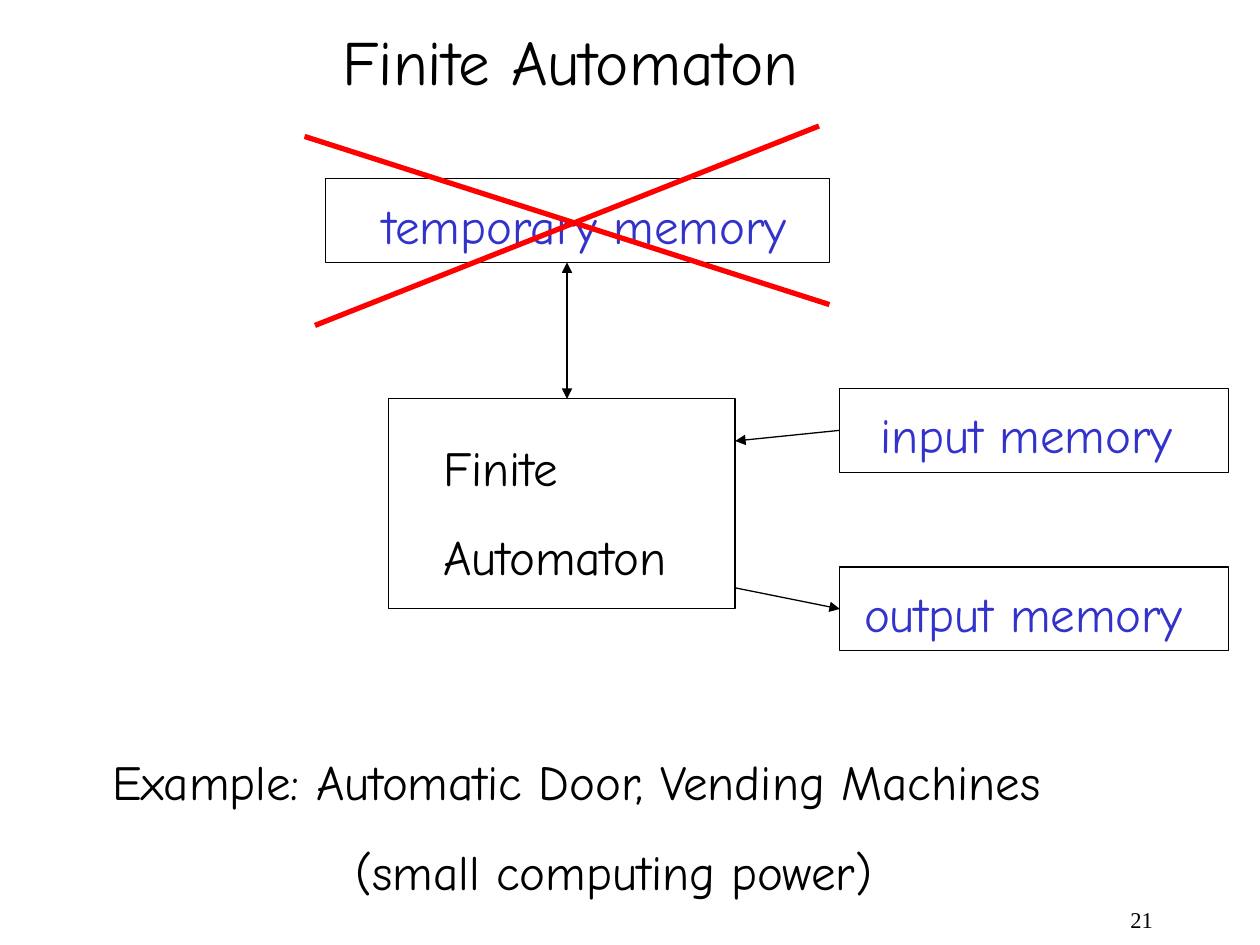
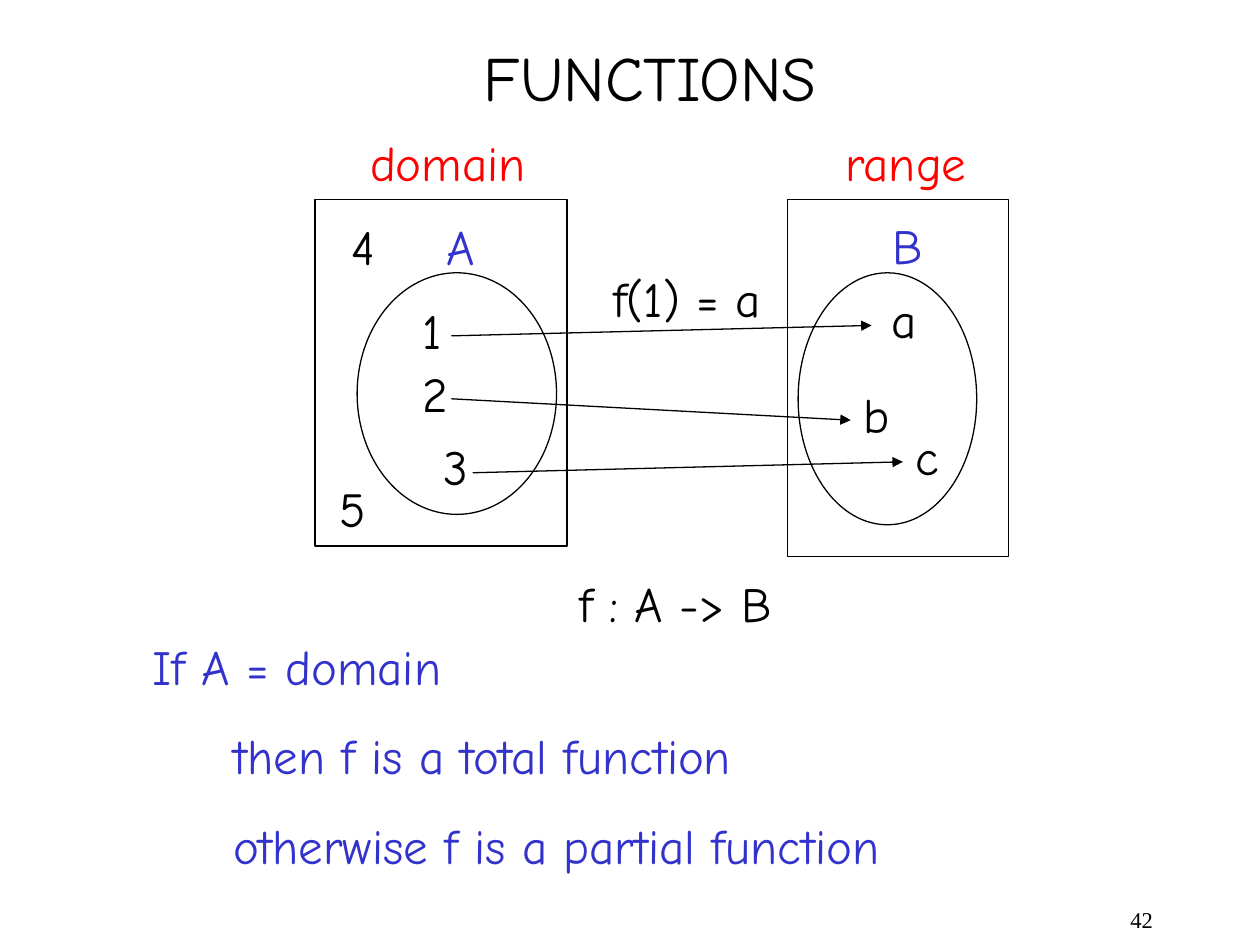
import lxml.etree
import pptx
import pptx.dml.color
import pptx.enum.shapes
import pptx.enum.text
import pptx.oxml.ns
import pptx.util
from dataclasses import dataclass

Cm, Pt = pptx.util.Cm, pptx.util.Pt
SHAPES = pptx.enum.shapes.MSO_SHAPE
ALIGN = pptx.enum.text.PP_ALIGN
qn = pptx.oxml.ns.qn


@dataclass(frozen=True)
class Theme:
    ink: str = "000000"
    blue: str = "3333CC"
    red: str = "FF0000"
    font: str = "Comic Neue"
    number_font: str = "Times New Roman"
    title_size: float = 36
    text_size: float = 28
    number_size: float = 12.9
    paragraph_gap: float = 17.5
    thin: float = 0.75
    thick: float = 3


THEME = Theme()

# All places are in centimetres: left, top, width, height.
LABEL_HEIGHT = 1.45
TITLE_HEIGHT = 1.78
WIDTH_SLACK = 0.06  # keeps a tight one-line box from breaking its text
NUMBER_PLACE = (18.21, 18.21, 5.28, 0.84)

AUTOMATON = {
    "number": "21",
    "title": ("Finite Automaton", 6.65, 0.33, 9.8),
    "body": {
        "place": (2.01, 15.03, 20.4, 3.25),
        "lines": [("Example: Automatic Door, Vending Machines", 0),
                  ("(small computing power)", 4.9)],
        "color": THEME.ink,
    },
}
# Name: frame, then left and width of its label
MEMORIES = {
    "temporary memory": ((6.56, 3.6, 10.16, 1.69), 7.47, 8.69),
    "input memory": ((16.93, 7.83, 7.83, 1.69), 17.5, 6.4),
    "output memory": ((16.93, 11.43, 7.83, 1.69), 17.17, 6.93),
}
LABEL_DROP = 0.21
MACHINE = (7.83, 8.04, 6.99, 4.23)
MACHINE_TEXT = (8.69, 8.69, 5.05, 3.25)
MACHINE_RIGHT = MACHINE[0] + MACHINE[2]
CROSS = [((6.14, 2.75), (16.72, 6.14)), ((6.35, 6.56), (16.51, 2.54))]

FUNCTIONS = {
    "number": "42",
    "title": ("FUNCTIONS", 9.5, 0.64, 7.24),
    "body": {
        "place": (2.82, 12.7, 15.52, 5.05),
        "lines": [("If A = domain", 0),
                  ("then f is a total function", 1.63),
                  ("otherwise f is a partial function", 1.63)],
        "color": THEME.blue,
    },
}
SETS = [
    (SHAPES.OVAL, (7.2, 5.5, 4.02, 4.87)),
    (SHAPES.OVAL, (16.09, 5.5, 3.6, 5.08)),
    (SHAPES.RECTANGLE, (6.35, 4.02, 5.08, 6.99)),
    (SHAPES.RECTANGLE, (15.88, 4.02, 4.45, 7.2)),
]
MAPPINGS = [
    ((9.1, 6.77), (17.57, 6.56)),
    ((9.1, 8.04), (17.15, 8.47)),
    ((9.53, 9.53), (18.2, 9.31)),
]
# Text, left, top, width
SET_LABELS = {
    THEME.red: [("domain", 7.21, 2.54, 3.66), ("range", 16.79, 2.54, 2.97)],
    THEME.blue: [("A", 8.76, 4.25, 1.07), ("B", 17.75, 4.22, 1.12)],
    THEME.ink: [
        ("1", 8.26, 5.93, 0.89), ("2", 8.26, 7.2, 1.02), ("3", 8.69, 8.67, 0.99),
        ("4", 6.83, 4.25, 0.99), ("5", 6.6, 9.53, 1.04),
        ("a", 17.73, 5.71, 1.02), ("b", 17.15, 7.62, 1.04), ("c", 18.2, 8.47, 0.97),
        ("f(1) = a", 12.11, 5.28, 3.48), ("f : A -> B", 11.43, 11.43, 4.73),
    ],
}


def rgb(color):
    return pptx.dml.color.RGBColor.from_string(color)


def lengths(place):
    return [Cm(value) for value in place]


def write(box, lines, *, color=THEME.ink, size=THEME.text_size, font=THEME.font,
          align=ALIGN.LEFT, line_spacing=1.0, wrap=False):
    """Fill a box with lines, each a string or a (string, indent in cm) pair."""
    frame = box.text_frame
    frame.word_wrap = wrap
    frame.vertical_anchor = pptx.enum.text.MSO_ANCHOR.TOP
    fit = pptx.enum.text.MSO_AUTO_SIZE
    frame.auto_size = fit.NONE if wrap else fit.SHAPE_TO_FIT_TEXT
    if not wrap:
        box.width += Cm(WIDTH_SLACK)
    for index, line in enumerate(lines):
        text, indent = (line, 0) if isinstance(line, str) else line
        para = frame.add_paragraph() if index else frame.paragraphs[0]
        para.alignment = align
        para.line_spacing = line_spacing
        para.space_before = Pt(THEME.paragraph_gap if index else 0)
        properties = para._p.get_or_add_pPr()
        properties.set("marL", str(int(Cm(indent))))
        properties.set("indent", "0")
        lxml.etree.SubElement(properties, qn("a:buNone"))
        span = para.add_run()
        span.text = text
        span.font.name = font
        span.font.size = Pt(size)
        span.font.color.rgb = rgb(color)


def add_text(slide, place, lines, **style):
    write(slide.shapes.add_textbox(*lengths(place)), lines, **style)


def fill_placeholder(holder, place, lines, **style):
    holder.left, holder.top, holder.width, holder.height = lengths(place)
    write(holder, lines, **style)


def add_outline(slide, kind, place):
    shape = slide.shapes.add_shape(kind, *lengths(place))
    shape.shadow.inherit = False
    shape.fill.background()
    shape.line.color.rgb = rgb(THEME.ink)
    shape.line.width = Pt(THEME.thin)
    return shape


def add_line(slide, start, end, *, color=THEME.ink, width=THEME.thin, arrows=()):
    """Draw a line; arrows may hold "head" (at start) and "tail" (at end)."""
    line = slide.shapes.add_connector(
        pptx.enum.shapes.MSO_CONNECTOR.STRAIGHT, *lengths(start + end))
    line.line.color.rgb = rgb(color)
    line.line.width = Pt(width)
    properties = line._element.spPr
    stroke = properties.find(qn("a:ln"))
    for arrow in arrows:
        lxml.etree.SubElement(stroke, qn(f"a:{arrow}End"), type="triangle")
    lxml.etree.SubElement(properties, qn("a:effectLst"))
    return line


def add_slide(deck, content):
    slide = deck.slides.add_slide(deck.slide_layouts[1])
    title, *place = content["title"]
    body = content["body"]
    fill_placeholder(slide.shapes.title, (*place, TITLE_HEIGHT), [title],
                     size=THEME.title_size)
    fill_placeholder(slide.placeholders[1], body["place"], body["lines"],
                     color=body["color"])
    add_text(slide, NUMBER_PLACE, [content["number"]], size=THEME.number_size,
             font=THEME.number_font, align=ALIGN.RIGHT, line_spacing=0.9, wrap=True)
    return slide


def build_automaton(deck):
    slide = add_slide(deck, AUTOMATON)
    frames = {}
    for name, (place, left, width) in MEMORIES.items():
        frames[name] = add_outline(slide, SHAPES.RECTANGLE, place)
        add_text(slide, (left, place[1] + LABEL_DROP, width, LABEL_HEIGHT), [name],
                 color=THEME.blue)
    add_outline(slide, SHAPES.RECTANGLE, MACHINE)
    add_text(slide, MACHINE_TEXT, ["Finite", "Automaton"])
    add_line(slide, (11.43, 5.29), (11.43, MACHINE[1]), arrows=("head", "tail"))
    for name, height, arrow in [("input memory", 8.89, "head"),
                                ("output memory", 11.85, "tail")]:
        start = (MACHINE_RIGHT, height)
        link = add_line(slide, start, start, arrows=[arrow])
        link.end_connect(frames[name], 1)
    for start, end in CROSS:
        add_line(slide, start, end, color=THEME.red, width=THEME.thick)


def build_functions(deck):
    slide = add_slide(deck, FUNCTIONS)
    for kind, place in SETS:
        add_outline(slide, kind, place)
    for start, end in MAPPINGS:
        add_line(slide, start, end, arrows=["tail"])
    for color, labels in SET_LABELS.items():
        for text, *place in labels:
            add_text(slide, (*place, LABEL_HEIGHT), [text], color=color)


def main():
    deck = pptx.Presentation()
    deck.slide_width, deck.slide_height = Cm(25.4), Cm(19.05)
    build_automaton(deck)
    build_functions(deck)
    deck.save("out.pptx")


if __name__ == "__main__":
    main()
